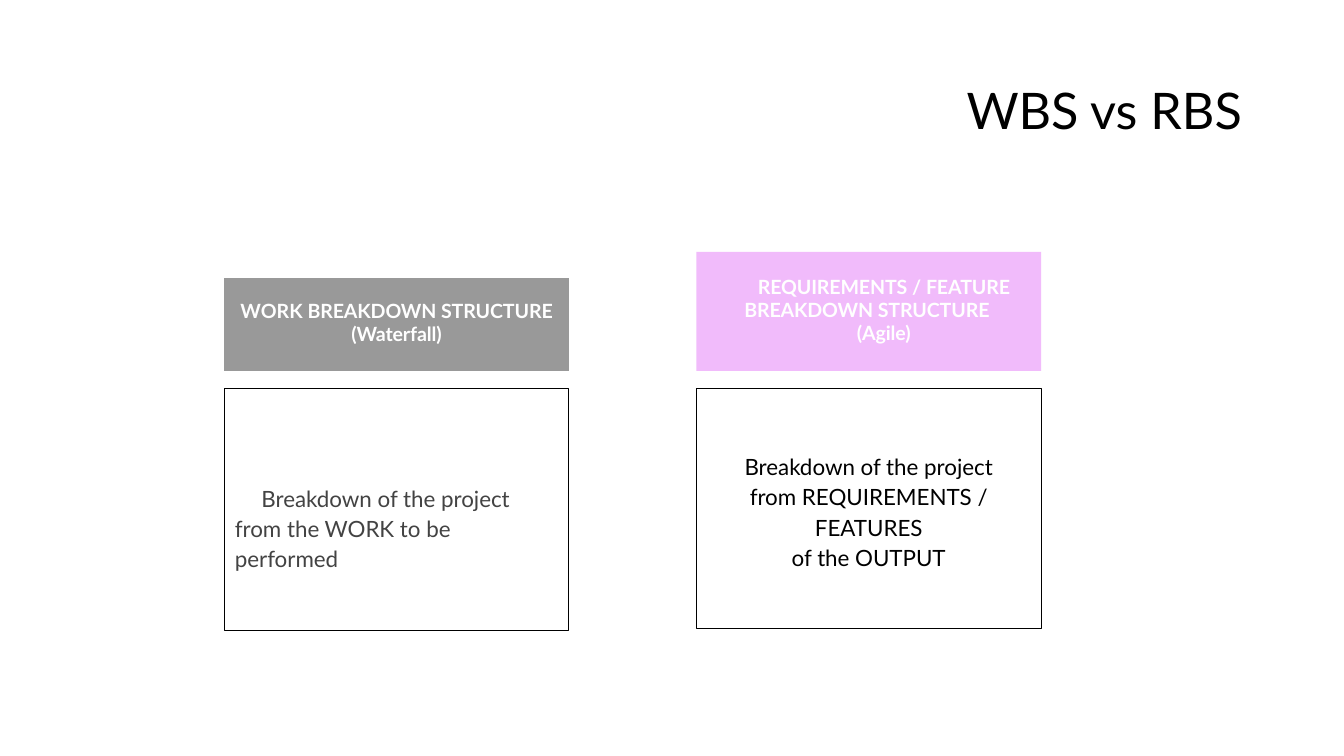
"""Builds a slide comparing work and requirements breakdown structures."""
from lxml import etree
from pptx import Presentation
from pptx.dml.color import RGBColor
from pptx.enum.shapes import MSO_SHAPE
from pptx.enum.text import MSO_ANCHOR, PP_ALIGN
from pptx.oxml.ns import qn
from pptx.util import Cm, Pt

RECTANGLE = MSO_SHAPE.RECTANGLE
TOP, MIDDLE = MSO_ANCHOR.TOP, MSO_ANCHOR.MIDDLE
LEFT, CENTER, RIGHT = PP_ALIGN.LEFT, PP_ALIGN.CENTER, PP_ALIGN.RIGHT

FONT = "Lato"
TITLE = "WBS vs RBS"
TIGHT = -10

COLUMNS = [
    {
        "left": 5.65,
        "header": {
            "paragraphs": [
                [("WORK ", 0), ("BREAKDOWN STRUCTURE", TIGHT)],
                [("(Waterfall)", TIGHT)],
            ],
            "height": 2.34, "fill": "999999", "opacity": 100, "spacing": Pt(16.6),
            "insets": (0, 0.53, 0), "indents": (0, 0),
        },
        "body": {
            "paragraphs": [[("Breakdown of the project from the WORK to be performed", 0)]],
            "height": 6.1, "color": "434343", "align": LEFT,
            "insets": (0, 2.35, 1), "indents": (0.27, 0.67),
        },
    },
    {
        "left": 17.55,
        "header": {
            "paragraphs": [
                [("REQUIREMENTS ", TIGHT), ("/ ", 0), ("FEATURE BREAKDOWN STRUCTURE ", TIGHT)],
                [("(Agile)", TIGHT)],
            ],
            "height": 3, "fill": "DC56F5", "opacity": 40, "spacing": Pt(16.5),
            "insets": (0, 0.59, 0.23), "indents": (0.25, 0.74),
        },
        "body": {
            "paragraphs": [
                [("Breakdown of the project from REQUIREMENTS / FEATURES", 0)],
                [("of the OUTPUT", 0)],
            ],
            "height": 6.05, "color": "000000", "align": CENTER,
            "insets": (0.94, 1.55, 0.94), "indents": (0, 0),
        },
    },
]

COLUMN_WIDTH = 8.69
HEADER_BOTTOM = 9.35
BODY_TOP = 9.78


def rgb(value):
    """Turn a hex string into a colour."""
    return RGBColor.from_string(value)


def write(shape, paragraphs, size, color, align, spacing, insets,
          indents=(0, 0), bold=False, anchor=TOP):
    """Fill a shape with paragraphs made of (text, letter spacing) runs."""
    frame = shape.text_frame
    frame.word_wrap = True
    frame.vertical_anchor = anchor
    frame.margin_left, frame.margin_top, frame.margin_right = map(Cm, insets)
    frame.margin_bottom = 0
    for number, runs in enumerate(paragraphs):
        paragraph = frame.add_paragraph() if number else frame.paragraphs[0]
        paragraph.alignment = align
        paragraph.line_spacing = spacing
        properties = paragraph._p.get_or_add_pPr()
        for name, indent in zip(("marL", "indent"), indents):
            properties.set(name, str(Cm(indent)))
        for text, letter_spacing in runs:
            run = paragraph.add_run()
            run.text = text
            run.font.name = FONT
            run.font.size = Pt(size)
            run.font.bold = bold
            run.font.color.rgb = rgb(color)
            run._r.get_or_add_rPr().set("spc", str(letter_spacing))


def add_box(slide, left, top, height):
    """Add a column-wide rectangle without a shadow."""
    box = slide.shapes.add_shape(RECTANGLE, Cm(left), Cm(top), Cm(COLUMN_WIDTH), Cm(height))
    box.shadow.inherit = False
    return box


def add_header(slide, left, header):
    """Add a coloured heading that stands on the common header line."""
    box = add_box(slide, left, HEADER_BOTTOM - header["height"], header["height"])
    box.line.fill.background()
    box.fill.solid()
    box.fill.fore_color.rgb = rgb(header["fill"])
    if header["opacity"] < 100:
        fill_color = box._element.spPr.find(qn("a:solidFill"))[0]
        etree.SubElement(fill_color, qn("a:alpha")).set("val", str(header["opacity"] * 1000))
    write(box, header["paragraphs"], 14, "FFFFFF", CENTER, header["spacing"],
          header["insets"], header["indents"], bold=True)


def add_body(slide, left, body):
    """Add an outlined description below a heading."""
    box = add_box(slide, left, BODY_TOP, body["height"])
    box.fill.background()
    box.line.color.rgb = rgb("000000")
    box.line.width = Pt(0.75)
    write(box, body["paragraphs"], 16, body["color"], body["align"], 1.13,
          body["insets"], body["indents"])


def main():
    """Build and save the slide."""
    deck = Presentation()
    deck.slide_width, deck.slide_height = Cm(33.87), Cm(19.05)
    slide = deck.slides.add_slide(deck.slide_layouts[6])
    title = slide.shapes.add_textbox(Cm(2.34), Cm(1.02), Cm(29.21), Cm(3.68))
    write(title, [[(TITLE, 0)]], 36, "000000", RIGHT, 0.9, (0.25, 0, 0.25), anchor=MIDDLE)
    for column in COLUMNS:
        add_header(slide, column["left"], column["header"])
        add_body(slide, column["left"], column["body"])
    deck.save("out.pptx")


if __name__ == "__main__":
    main()
